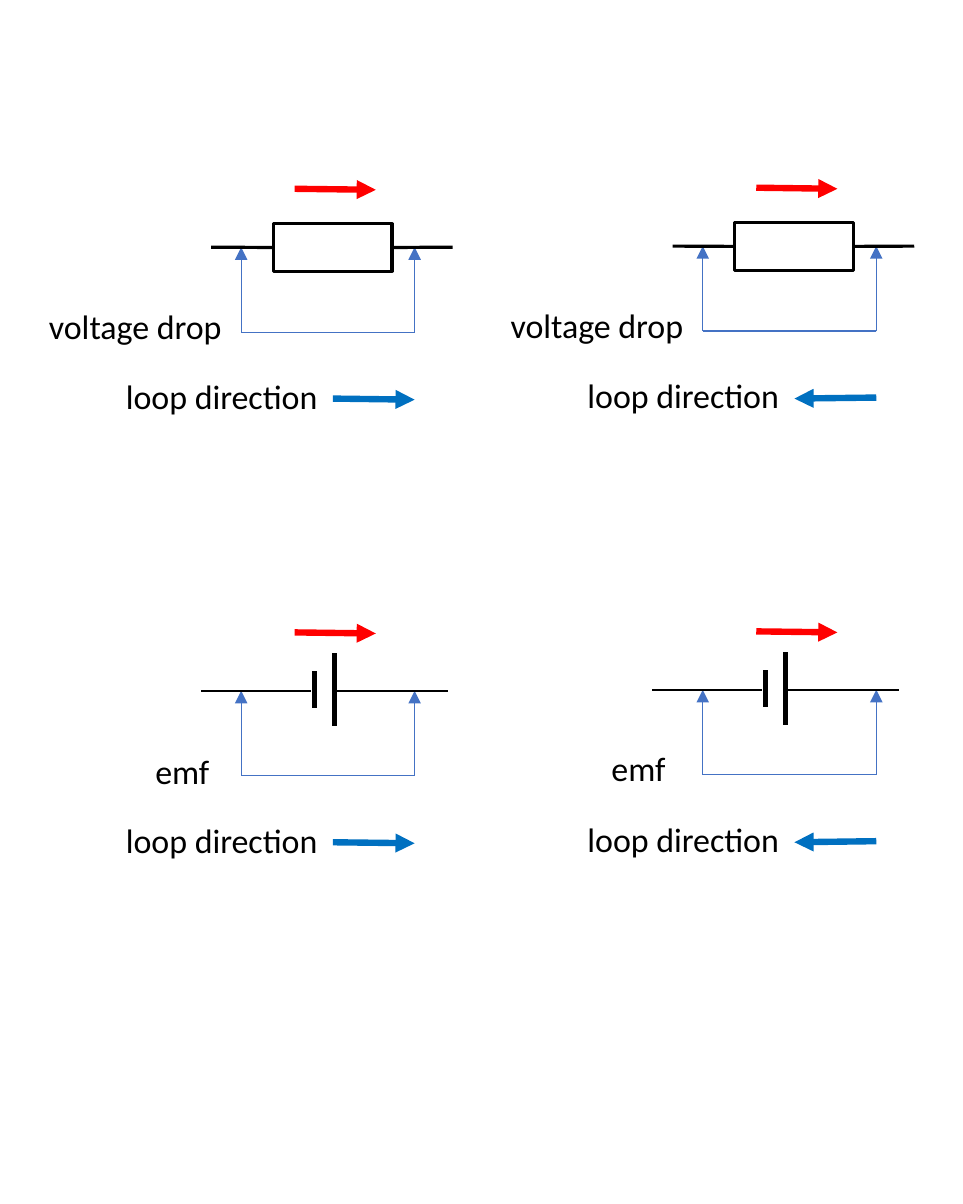
from dataclasses import dataclass

from lxml import etree
from pptx import Presentation
from pptx import util as u
from pptx.dml.color import RGBColor
from pptx.enum import shapes, text
from pptx.oxml import ns


@dataclass(frozen=True)
class Theme:
    ink: str = "000000"
    current: str = "FF0000"
    probe: str = "4472C4"
    loop: str = "0070C0"
    font: str = "Calibri"
    label_size: float = 16
    thin: float = 0.5
    wire: float = 1
    outline: float = 1.5
    plate: float = 2.25
    arrow: float = 3


class Sketch:
    """Draws on one slide, measuring in points from a movable origin."""

    def __init__(self, slide, theme):
        self.slide = slide
        self.theme = theme
        self.origin = (0, 0)

    def place(self, x, y):
        return u.Pt(self.origin[0] + x), u.Pt(self.origin[1] + y)

    def line(self, start, end, color, width, arrow=False):
        connector = self.slide.shapes.add_connector(
            shapes.MSO_CONNECTOR.STRAIGHT, *self.place(*start), *self.place(*end))
        connector.line.color.rgb = RGBColor.from_string(color)
        connector.line.width = u.Pt(width)
        properties = connector._element.spPr
        if arrow:
            outline = properties.find(ns.qn("a:ln"))
            etree.SubElement(outline, ns.qn("a:tailEnd"), type="triangle")
        etree.SubElement(properties, ns.qn("a:effectLst"))
        return connector

    def box(self, x, y, width, height):
        shape = self.slide.shapes.add_shape(
            shapes.MSO_SHAPE.RECTANGLE, *self.place(x, y), u.Pt(width), u.Pt(height))
        shape.shadow.inherit = False
        shape.fill.background()
        shape.line.color.rgb = RGBColor.from_string(self.theme.ink)
        shape.line.width = u.Pt(self.theme.outline)
        return shape

    def label(self, words, x, y, width):
        shape = self.slide.shapes.add_textbox(
            *self.place(x, y), u.Pt(width), u.Pt(26.6))
        frame = shape.text_frame
        frame.word_wrap = False
        frame.auto_size = text.MSO_AUTO_SIZE.SHAPE_TO_FIT_TEXT
        frame.text = words
        font = frame.paragraphs[0].runs[0].font
        font.name = self.theme.font
        font.size = u.Pt(self.theme.label_size)
        font.color.rgb = RGBColor.from_string(self.theme.ink)

    def resistor(self):
        theme = self.theme
        body = self.box(15.1, -11, 56, 22.3)
        left_lead = self.line((-14.2, 0), (15.1, 0), theme.ink, theme.outline)
        left_lead.end_connect(body, 1)
        right_lead = self.line((71.1, 0), (99.6, 0), theme.ink, theme.outline)
        right_lead.begin_connect(body, 3)

    def battery(self, shift):
        theme = self.theme
        for start, end in ((-18.7, 33.1), (44.6, 97.2)):
            self.line((start + shift, 0), (end + shift, 0), theme.ink, theme.wire)
        for x, half in ((34.6, 8.6), (43.9, 17)):
            self.line((x + shift, -half - 0.6), (x + shift, half - 0.6),
                      theme.ink, theme.plate)

    def measurement(self, loop_forward):
        """Current arrow, probe bracket and loop direction of one panel."""
        theme = self.theme
        span, depth = 81.7, 40
        self.line((25.2, -27.5), (63.4, -27), theme.current, theme.arrow, arrow=True)
        self.line((span, depth), (0, depth), theme.probe, theme.thin)
        for x in (0, span):
            self.line((x, depth), (x, 0), theme.probe, theme.thin, arrow=True)
        tail, head = (43.2, span) if loop_forward else (span, 43.2)
        self.line((tail, 71.3), (head, 71.8), theme.loop, theme.arrow, arrow=True)
        self.label("loop direction", -61.4, 57, 105.8)


def main():
    presentation = Presentation()
    presentation.slide_width = u.Pt(453.54)
    presentation.slide_height = u.Pt(566.93)
    slide = presentation.slides.add_slide(presentation.slide_layouts[6])
    sketch = Sketch(slide, Theme())

    for row in range(2):
        for column in range(2):
            sketch.origin = (113.6 + 217.4 * column, 116.4 + 208.9 * row - 0.5 * column)
            sketch.measurement(loop_forward=column == 0)
            if row == 0:
                sketch.resistor()
                sketch.label("voltage drop", -97.6, 24, 97.2)
            else:
                sketch.battery(shift=-5 * column)
                sketch.label("emf", -47.5 - 2.6 * column, 24.5 - 0.9 * column, 40.3)

    presentation.save("out.pptx")


if __name__ == "__main__":
    main()
